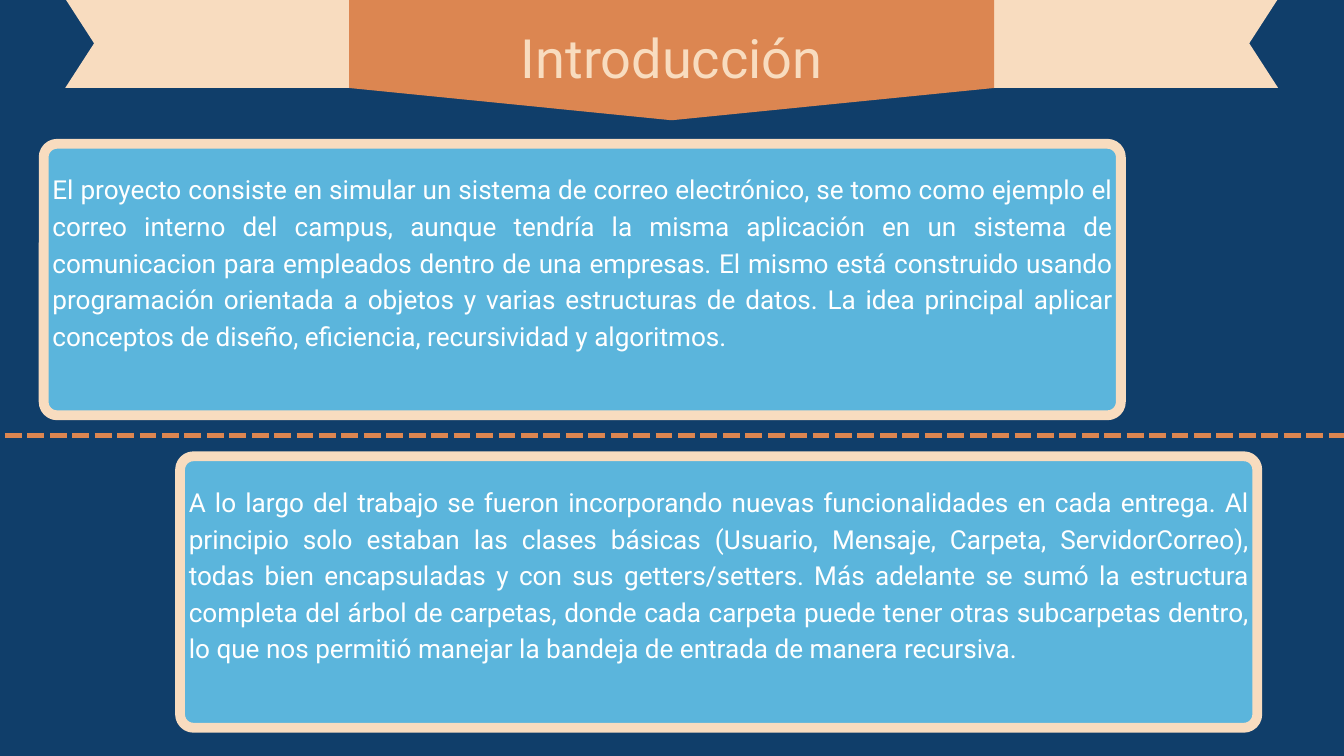
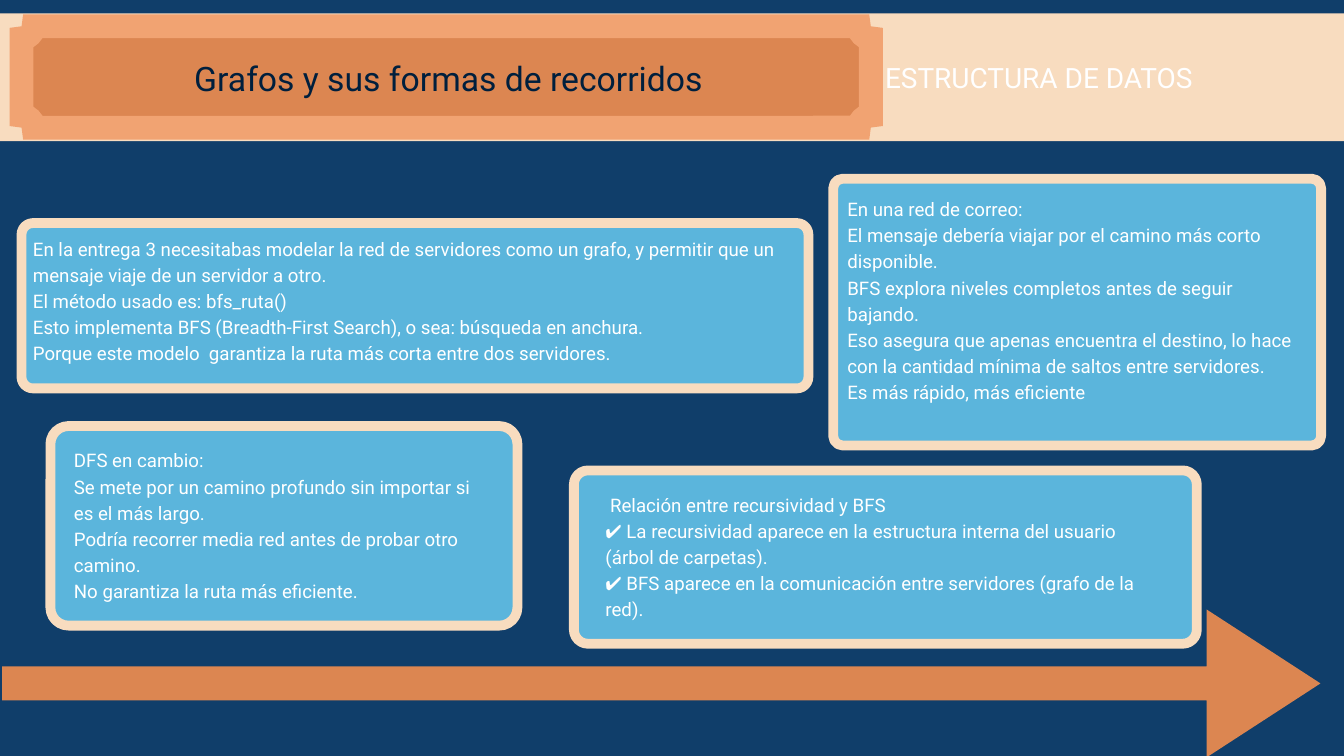
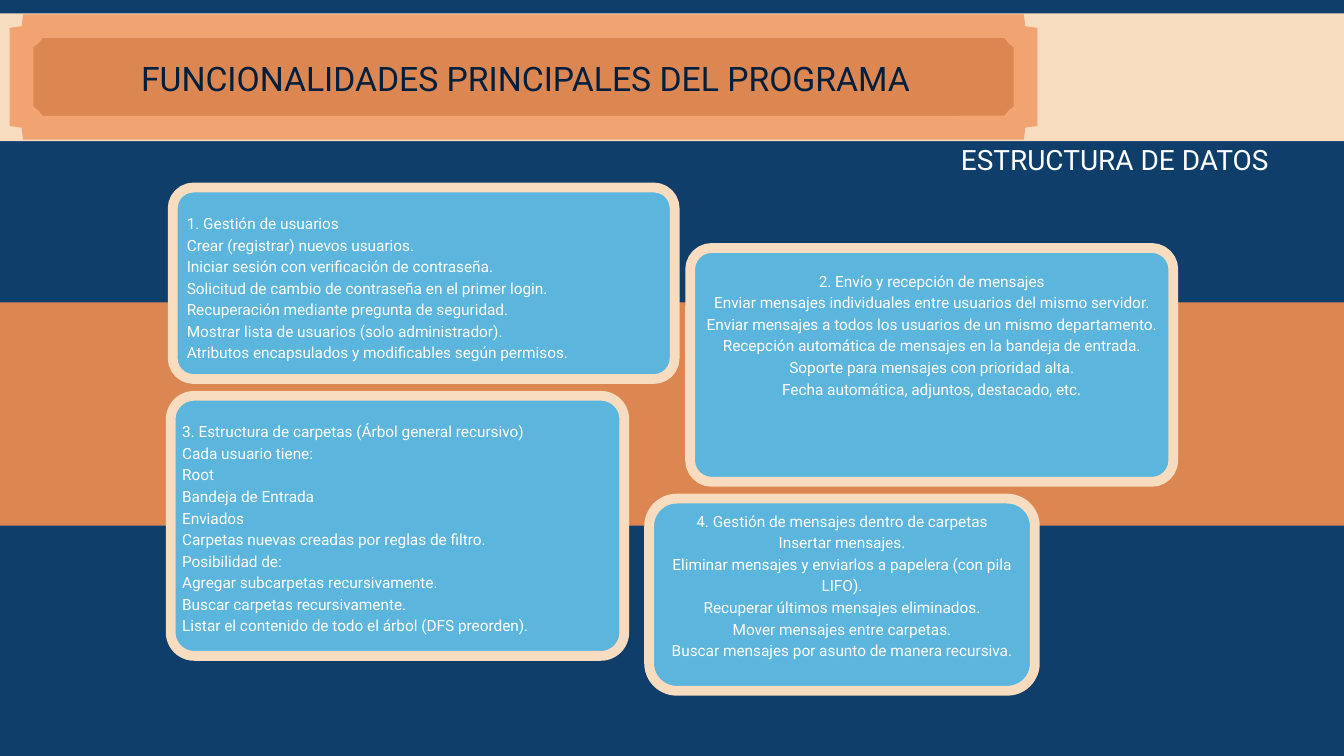
from lxml import etree
from pptx import Presentation
from pptx import util as u
from pptx.dml.color import RGBColor
from pptx.enum import dml, shapes, text
from pptx.oxml.ns import qn

NAVY = RGBColor(0x10, 0x3E, 0x6A)
SKY = RGBColor(0x5B, 0xB5, 0xDC)
CREAM = RGBColor(0xF8, 0xDC, 0xBF)
ORANGE = RGBColor(0xDC, 0x86, 0x51)
PEACH = RGBColor(0xF1, 0xA3, 0x72)
INK = RGBColor(0x00, 0x1F, 0x3D)
WHITE = RGBColor(0xFF, 0xFF, 0xFF)

FONT = "Roboto"
LEADING = 1.4
SLIDE_W, SLIDE_H = 20, 11.25
LEFT, CENTER, JUSTIFY = text.PP_ALIGN.LEFT, text.PP_ALIGN.CENTER, text.PP_ALIGN.JUSTIFY
PRESET = shapes.MSO_SHAPE


def inches(box):
    return [u.Inches(length) for length in box]


def new_slide(prs):
    slide = prs.slides.add_slide(prs.slide_layouts[6])
    slide.background.fill.solid()
    slide.background.fill.fore_color.rgb = NAVY
    return slide


def paint(shape, fill, border=None, border_pt=0):
    shape.shadow.inherit = False
    shape.fill.solid()
    shape.fill.fore_color.rgb = fill
    if border is None:
        shape.line.fill.background()
    else:
        shape.line.color.rgb = border
        shape.line.width = u.Pt(border_pt)


def add_preset(slide, preset, box, fill, adjustments=(), **border):
    shape = slide.shapes.add_shape(preset, *inches(box))
    for index, value in enumerate(adjustments):
        shape.adjustments[index] = value
    paint(shape, fill, **border)
    return shape


def add_outline(slide, box, points, fill):
    """Closed polygon; points are inches from the box's top left corner."""
    left, top = box[:2]
    corners = [(u.Inches(left + x), u.Inches(top + y)) for x, y in points]
    builder = slide.shapes.build_freeform(*corners[0])
    builder.add_line_segments(corners[1:], close=True)
    paint(builder.convert_to_shape(), fill)


def add_text(slide, box, lines, size, color=WHITE, align=LEFT):
    frame = slide.shapes.add_textbox(*inches(box)).text_frame
    frame.word_wrap = True
    frame.auto_size = text.MSO_AUTO_SIZE.SHAPE_TO_FIT_TEXT
    frame.margin_left = frame.margin_right = frame.margin_top = frame.margin_bottom = 0
    for index, line in enumerate(lines):
        paragraph = frame.paragraphs[0] if index == 0 else frame.add_paragraph()
        paragraph.alignment = align
        paragraph.line_spacing = u.Pt(round(size * LEADING, 1))
        run = paragraph.add_run()
        run.text = line
        run.font.name = FONT
        run.font.size = u.Pt(size)
        run.font.color.rgb = color


def card(slide, box, radius, inset, text_height, lines, size, align=LEFT, right=None):
    """Rounded panel with text inset by (x, y); right differs from x if given."""
    left, top, width, height = box
    dx, dy = inset
    right = dx if right is None else right
    add_preset(slide, PRESET.ROUNDED_RECTANGLE, box, SKY, [radius / min(width, height)],
               border=CREAM, border_pt=10.5)
    add_text(slide, (left + dx, top + dy, width - dx - right, text_height), lines, size,
             align=align)


def ribbon_title(slide, box, title):
    """Cream ribbon with notched ends, and a pointed orange pennant on it."""
    left, top, width, height = box
    notch = 0.43
    add_outline(slide, box, [(0, 0), (width, 0), (width - notch, height / 2), (width, height),
                             (0, height), (notch, height / 2)], CREAM)
    pennant_w, pennant_h, side_h = 9.6, 1.93, 1.45
    pennant = (left + (width - pennant_w) / 2, top - 0.12, pennant_w, pennant_h)
    add_outline(slide, pennant, [(0, 0), (pennant_w, 0), (pennant_w, side_h),
                                 (pennant_w / 2, pennant_h), (0, side_h)], ORANGE)
    add_text(slide, (left + 6.22, top + 0.22, 5.61, 1.1), [title], 58, CREAM, CENTER)


def plaque_title(slide, box, plaque_width, title):
    """Full-width cream band holding a plaque with the slide's title."""
    left, top, _, _ = box
    add_preset(slide, PRESET.RECTANGLE, box, CREAM)
    plaque_height, notch = 1.51, 0.18
    plaque = add_preset(slide, PRESET.PLAQUE,
                        (left + 0.32, top + 0.19, plaque_width, plaque_height), ORANGE,
                        [notch / plaque_height], border=PEACH, border_pt=25.5)
    etree.SubElement(plaque.line._get_or_add_ln(), qn("a:miter"), lim="800000")
    add_text(slide, (left + 0.75, top + 0.56, plaque_width - 0.79, 0.68), [title], 36.1,
             INK, CENTER)


def course_name(slide, left, top):
    add_text(slide, (left, top, 5.7, 0.55), ["ESTRUCTURA DE DATOS"], 30)


def dashed_divider(slide, y):
    divider = slide.shapes.add_connector(shapes.MSO_CONNECTOR.STRAIGHT,
                                         *inches((-0.26, y, SLIDE_W, y)))
    divider.line.color.rgb = ORANGE
    divider.line.width = u.Pt(6)
    divider.line.dash_style = dml.MSO_LINE.SQUARE_DOT
    etree.SubElement(divider._element.spPr, qn("a:effectLst"))


def introduction(prs):
    slide = new_slide(prs)
    card_w, card_h = 16.03, 4.04
    paragraphs = [
        (0.65, 2.14,
         "El proyecto consiste en simular un sistema de correo electrónico, se tomo como "
         "ejemplo el correo interno del campus, aunque tendría la misma aplicación en un "
         "sistema de comunicacion para empleados dentro de una empresas. El mismo está "
         "construido usando programación orientada a objetos y varias estructuras de datos. "
         "La idea principal aplicar conceptos de diseño, eficiencia, recursividad y "
         "algoritmos."),
        (2.68, 6.79,
         "A lo largo del trabajo se fueron incorporando nuevas funcionalidades en cada "
         "entrega. Al principio solo estaban las clases básicas (Usuario, Mensaje, Carpeta, "
         "ServidorCorreo), todas bien encapsuladas y con sus getters/setters. Más adelante "
         "se sumó la estructura completa del árbol de carpetas, donde cada carpeta puede "
         "tener otras subcarpetas dentro, lo que nos permitió manejar la bandeja de entrada "
         "de manera recursiva."),
    ]
    for left, top, paragraph in paragraphs:
        card(slide, (left, top, card_w, card_h), 0.2, (0.13, 0.37), 3.23, [paragraph], 28,
             JUSTIFY)
    dashed_divider(slide, 6.48)
    ribbon_title(slide, (0.97, -0.02, 18.05, 1.33), "Introducción")


def graph_traversal(prs):
    slide = new_slide(prs)
    plaque_title(slide, (0, 0.2, SLIDE_W, 1.9), 12.64, "Grafos y sus formas de recorridos")
    course_name(slide, 13.17, 0.82)
    card(slide, (0.32, 3.32, 11.71, 2.46), 0.17, (0.17, 0.16), 2.3, [
        "En la entrega 3 necesitabas modelar la red de servidores como un grafo, y permitir "
        "que un mensaje viaje de un servidor a otro.",
        "El método usado es: bfs_ruta()",
        "Esto implementa BFS (Breadth-First Search), o sea: búsqueda en anchura.",
        "Porque este modelo  garantiza la ruta más corta entre dos servidores.",
    ], 20)
    card(slide, (0.75, 6.34, 6.95, 2.97), 0.27, (0.35, 0.29), 2.3, [
        "DFS en cambio:",
        "Se mete por un camino profundo sin importar si es el más largo.",
        "Podría recorrer media red antes de probar otro camino.",
        "No garantiza la ruta más eficiente.",
    ], 20)
    card(slide, (12.4, 2.66, 7.26, 3.97), 0.14, (0.21, 0.23), 3.45, [
        "En una red de correo:",
        "El mensaje debería viajar por el camino más corto disponible.",
        "BFS explora niveles completos antes de seguir bajando.",
        "Eso asegura que apenas encuentra el destino, lo hace con la cantidad mínima de "
        "saltos entre servidores.",
        "Es más rápido, más eficiente",
    ], 20)
    card(slide, (8.54, 7, 9.27, 2.58), 0.21, (0.47, 0.29), 1.91, [
        " Relación entre recursividad y BFS",
        "✔ La recursividad aparece en la estructura interna del usuario (árbol de carpetas).",
        "✔ BFS aparece en la comunicación entre servidores (grafo de la red).",
    ], 20)
    add_preset(slide, PRESET.RIGHT_ARROW, (0.03, 9.07, 19.62, 2.2), ORANGE, [0.23, 0.77])


def program_features(prs):
    slide = new_slide(prs)
    add_preset(slide, PRESET.PENTAGON, (0, 4.5, 21.36, 3.32), ORANGE, [0.26])
    plaque_title(slide, (0, 0.2, SLIDE_W, 1.9), 14.94,
                 "FUNCIONALIDADES PRINCIPALES DEL PROGRAMA")
    course_name(slide, 14.3, 2.04)
    card(slide, (10.27, 3.69, 7.19, 3.48), 0.32, (0.07, 0.31), 2.81, [
        "2. Envío y recepción de mensajes",
        "Enviar mensajes individuales entre usuarios del mismo servidor.",
        "Enviar mensajes a todos los usuarios de un mismo departamento.",
        "Recepción automática de mensajes en la bandeja de entrada.",
        "Soporte para mensajes con prioridad alta.",
        "Fecha automática, adjuntos, destacado, etc.",
    ], 16.5, CENTER)
    card(slide, (2.57, 2.79, 7.47, 2.85), 0.31, (0.21, 0.35), 2.49, [
        "1. Gestión de usuarios",
        "Crear (registrar) nuevos usuarios.",
        "Iniciar sesión con verificación de contraseña.",
        "Solicitud de cambio de contraseña en el primer login.",
        "Recuperación mediante pregunta de seguridad.",
        "Mostrar lista de usuarios (solo administrador).",
        "Atributos encapsulados y modificables según permisos.",
    ], 16.5, JUSTIFY, right=0)
    card(slide, (9.66, 7.42, 5.74, 2.86), 0.41, (0.17, 0.15), 2.51, [
        "4. Gestión de mensajes dentro de carpetas",
        "Insertar mensajes.",
        "Eliminar mensajes y enviarlos a papelera (con pila LIFO).",
        "Recuperar últimos mensajes eliminados.",
        "Mover mensajes entre carpetas.",
        "Buscar mensajes por asunto de manera recursiva.",
    ], 16.5, CENTER)
    card(slide, (2.54, 5.89, 6.75, 3.87), 0.35, (0.17, 0.35), 3.12, [
        "3. Estructura de carpetas (Árbol general recursivo)",
        "Cada usuario tiene:",
        "Root",
        "Bandeja de Entrada",
        "Enviados",
        "Carpetas nuevas creadas por reglas de filtro.",
        "Posibilidad de:",
        "Agregar subcarpetas recursivamente.",
        "Buscar carpetas recursivamente.",
        "Listar el contenido de todo el árbol (DFS preorden).",
    ], 16.5, JUSTIFY, right=0)


def main():
    prs = Presentation()
    prs.slide_width, prs.slide_height = inches((SLIDE_W, SLIDE_H))
    introduction(prs)
    graph_traversal(prs)
    program_features(prs)
    prs.save("out.pptx")


if __name__ == "__main__":
    main()
